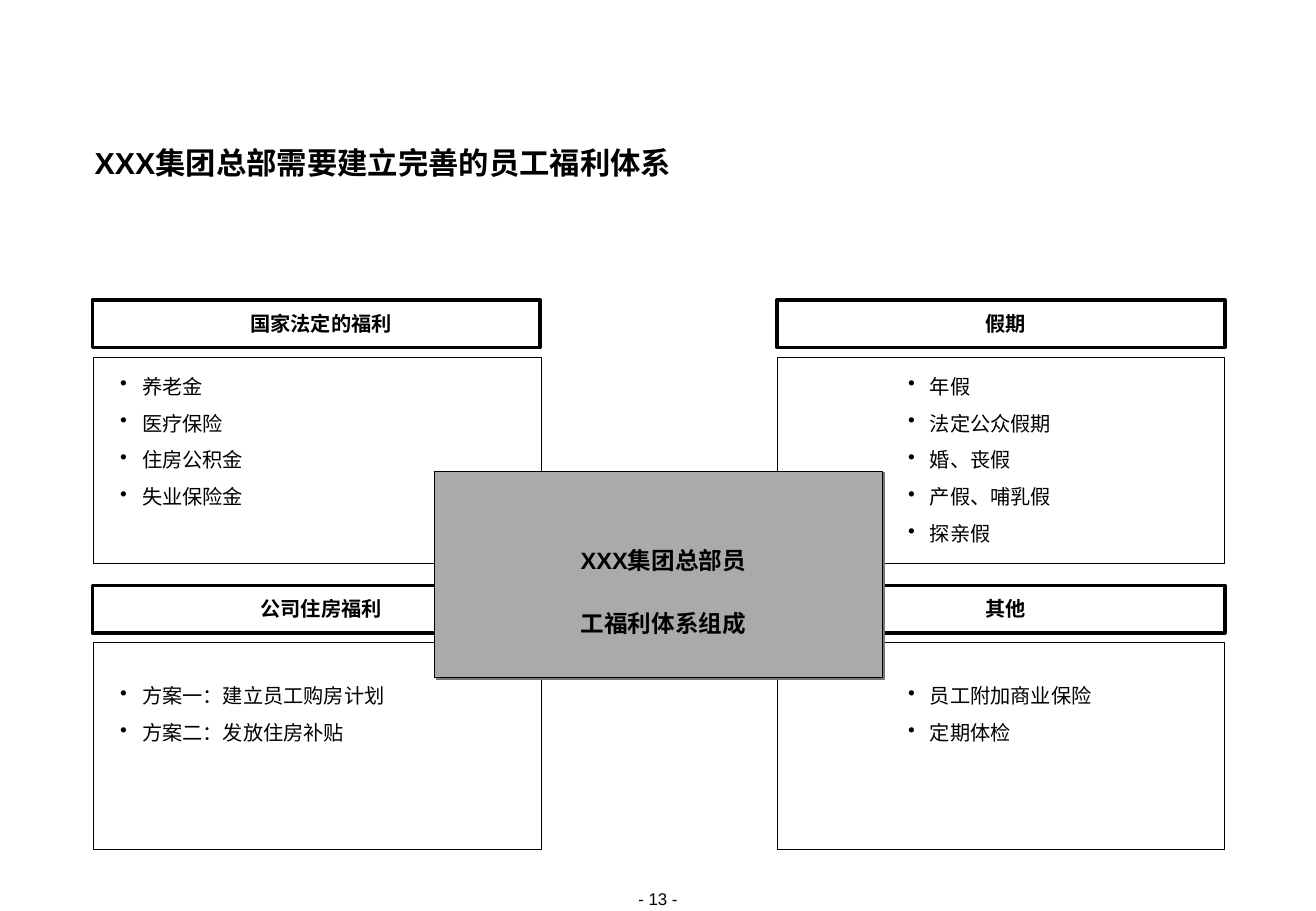
from lxml.etree import SubElement
from pptx import Presentation
from pptx.dml.color import RGBColor
from pptx.enum.shapes import MSO_SHAPE
from pptx.enum.text import MSO_ANCHOR, PP_ALIGN
from pptx.oxml.ns import qn
from pptx.util import Inches, Pt

COLORS = {"ink": "000000", "center": "AAAAAA", "shadow": "777777"}
PANEL_WIDTH, HEADER_HEIGHT, BODY_HEIGHT = 3.69, 0.39, 1.7
BODY_OFFSET = 0.47

# Header left, body left, list left, list width
LEFT_COLUMN = (0.76, 0.77, 0.98, 2.32)
RIGHT_COLUMN = (6.4, 6.4, 7.47, 2.56)
# Header top, list top
TOP_ROW = (2.47, 3.06)
BOTTOM_ROW = (4.82, 5.61)

PANELS = [
    (LEFT_COLUMN, TOP_ROW, "国家法定的福利",
     ["养老金", "医疗保险", "住房公积金", "失业保险金"]),
    (RIGHT_COLUMN, TOP_ROW, "假期",
     ["年假", "法定公众假期", "婚、丧假", "产假、哺乳假", "探亲假"]),
    (LEFT_COLUMN, BOTTOM_ROW, "公司住房福利",
     ["方案一：建立员工购房计划", "方案二：发放住房补贴"]),
    (RIGHT_COLUMN, BOTTOM_ROW, "其他",
     ["员工附加商业保险", "定期体检"]),
]


def color(name):
    return RGBColor.from_string(COLORS[name])


def apply_format(target, values):
    for name, value in values.items():
        setattr(target, name, value)


def format_paragraph(paragraph, text, size, bold=False, **layout):
    paragraph.text = text
    apply_format(paragraph, layout)
    apply_format(paragraph.font, {"name": "Arial", "size": Pt(size), "bold": bold})
    paragraph.font.color.rgb = color("ink")


def add_bullet(paragraph):
    properties = paragraph._p.get_or_add_pPr()
    properties.set("marL", str(Inches(0.19)))
    properties.set("indent", str(Inches(-0.18)))
    bullet_color = SubElement(properties, qn("a:buClr"))
    SubElement(bullet_color, qn("a:srgbClr"), val=COLORS["ink"])
    SubElement(properties, qn("a:buChar"), char="•")


def add_text_box(slide, left, top, width, height):
    box = slide.shapes.add_textbox(*map(Inches, (left, top, width, height)))
    frame = box.text_frame
    apply_format(frame, {"word_wrap": True, "margin_left": 0, "margin_top": 0,
                         "margin_right": 0, "margin_bottom": 0})
    return frame


def add_list(slide, left, top, width, items):
    frame = add_text_box(slide, left, top, width, 0.3 * len(items))
    for index, item in enumerate(items):
        paragraph = frame.add_paragraph() if index else frame.paragraphs[0]
        add_bullet(paragraph)
        format_paragraph(paragraph, item, 12, line_spacing=1.1,
                         space_before=Pt(6 if index else 0))


def add_box(slide, left, top, height, line_width, fill=None):
    shape = slide.shapes.add_shape(
        MSO_SHAPE.RECTANGLE, *map(Inches, (left, top, PANEL_WIDTH, height)))
    shape.shadow.inherit = False
    if fill:
        shape.fill.solid()
        shape.fill.fore_color.rgb = color(fill)
    else:
        shape.fill.background()
    shape.line.color.rgb = color("ink")
    shape.line.width = Pt(line_width)
    return shape


def add_label(shape, text, size, line_spacing):
    frame = shape.text_frame
    apply_format(frame, {"word_wrap": False, "vertical_anchor": MSO_ANCHOR.MIDDLE,
                         "margin_left": Inches(0.08), "margin_top": 0,
                         "margin_right": 0, "margin_bottom": 0})
    format_paragraph(frame.paragraphs[0], text, size, bold=True,
                     alignment=PP_ALIGN.CENTER, line_spacing=line_spacing)


def add_hard_shadow(shape):
    effects = shape._element.spPr.find(qn("a:effectLst"))
    shadow = SubElement(effects, qn("a:outerShdw"), blurRad="0",
                        dist=str(Pt(1.4)), dir=str(45 * 60000),
                        algn="ctr", rotWithShape="0")
    SubElement(shadow, qn("a:srgbClr"), val=COLORS["shadow"])


def add_panel(slide, column, row, heading, items):
    header_left, body_left, list_left, list_width = column
    header_top, list_top = row
    add_box(slide, body_left, header_top + BODY_OFFSET, BODY_HEIGHT, 0.5)
    header = add_box(slide, header_left, header_top, HEADER_HEIGHT, 2)
    add_label(header, heading, 12, Pt(14))
    add_list(slide, list_left, list_top, list_width, items)


def main():
    presentation = Presentation()
    presentation.slide_width = Inches(10.84)
    presentation.slide_height = Inches(7.5)
    slide = presentation.slides.add_slide(presentation.slide_layouts[6])

    # Page number and title
    page_number = add_text_box(slide, 4.85, 7.32, 1.14, 0.17)
    format_paragraph(page_number.paragraphs[0], "- 13 -", 10,
                     alignment=PP_ALIGN.CENTER)
    title = add_text_box(slide, 0.78, 1.21, 9.33, 0.28)
    format_paragraph(title.paragraphs[0], "XXX集团总部需要建立完善的员工福利体系",
                     18, bold=True, line_spacing=Pt(20))

    # Four benefit panels
    for panel in PANELS:
        add_panel(slide, *panel)

    # Central box over the panels
    center = add_box(slide, 3.58, 3.88, BODY_HEIGHT, 0.5, fill="center")
    add_hard_shadow(center)
    add_label(center, "XXX集团总部员\v工福利体系组成", 14, 2.2)

    presentation.save("out.pptx")


if __name__ == "__main__":
    main()
